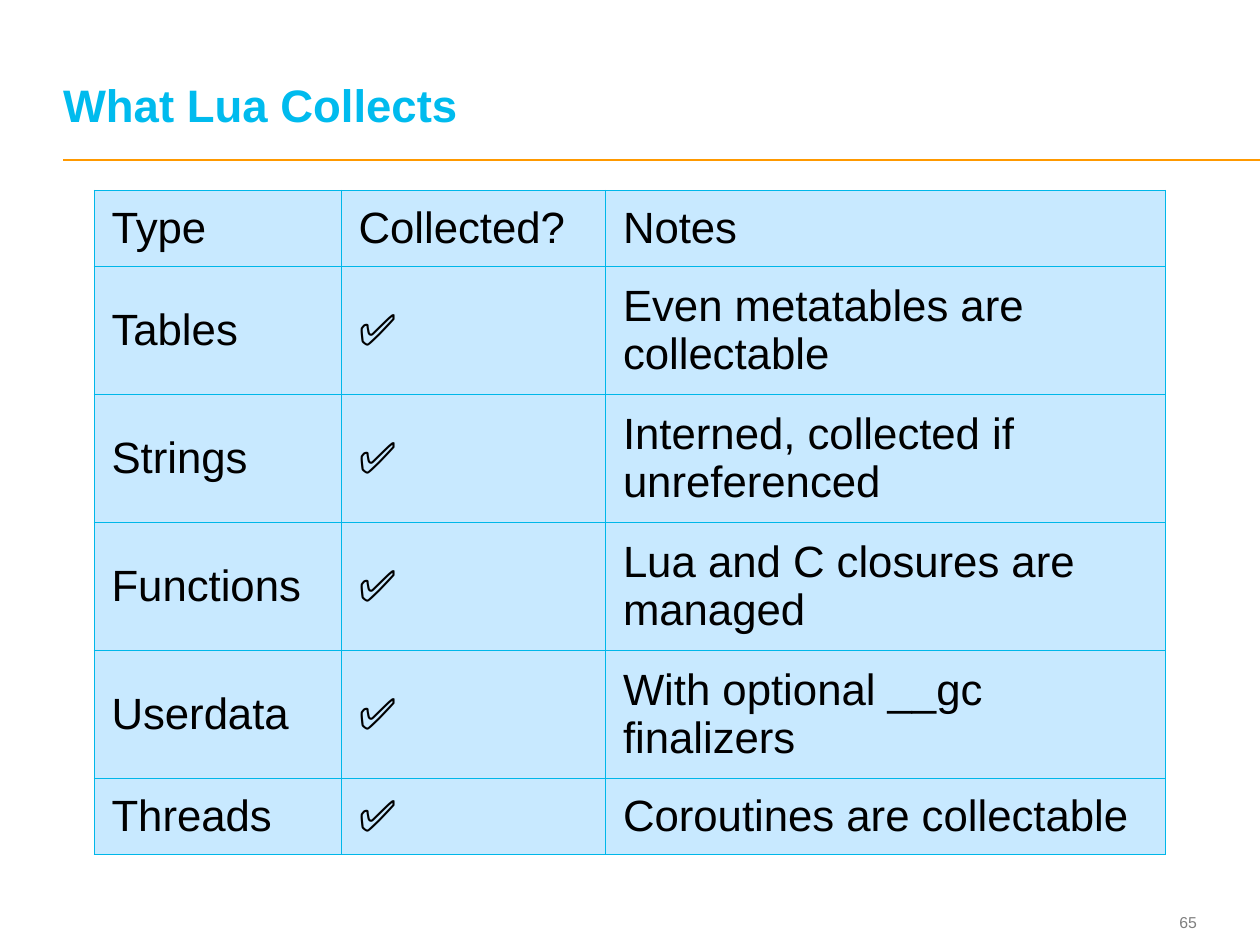
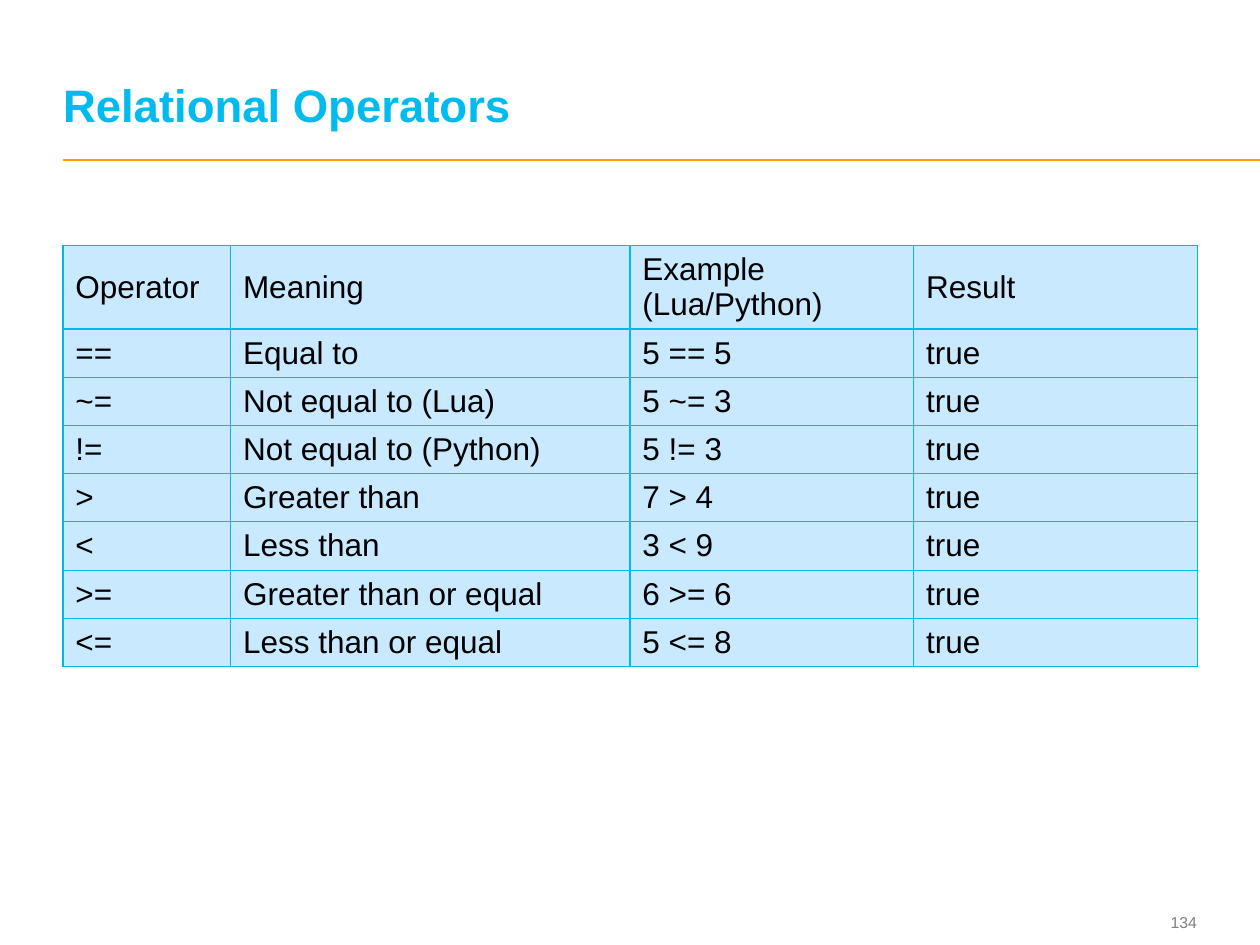
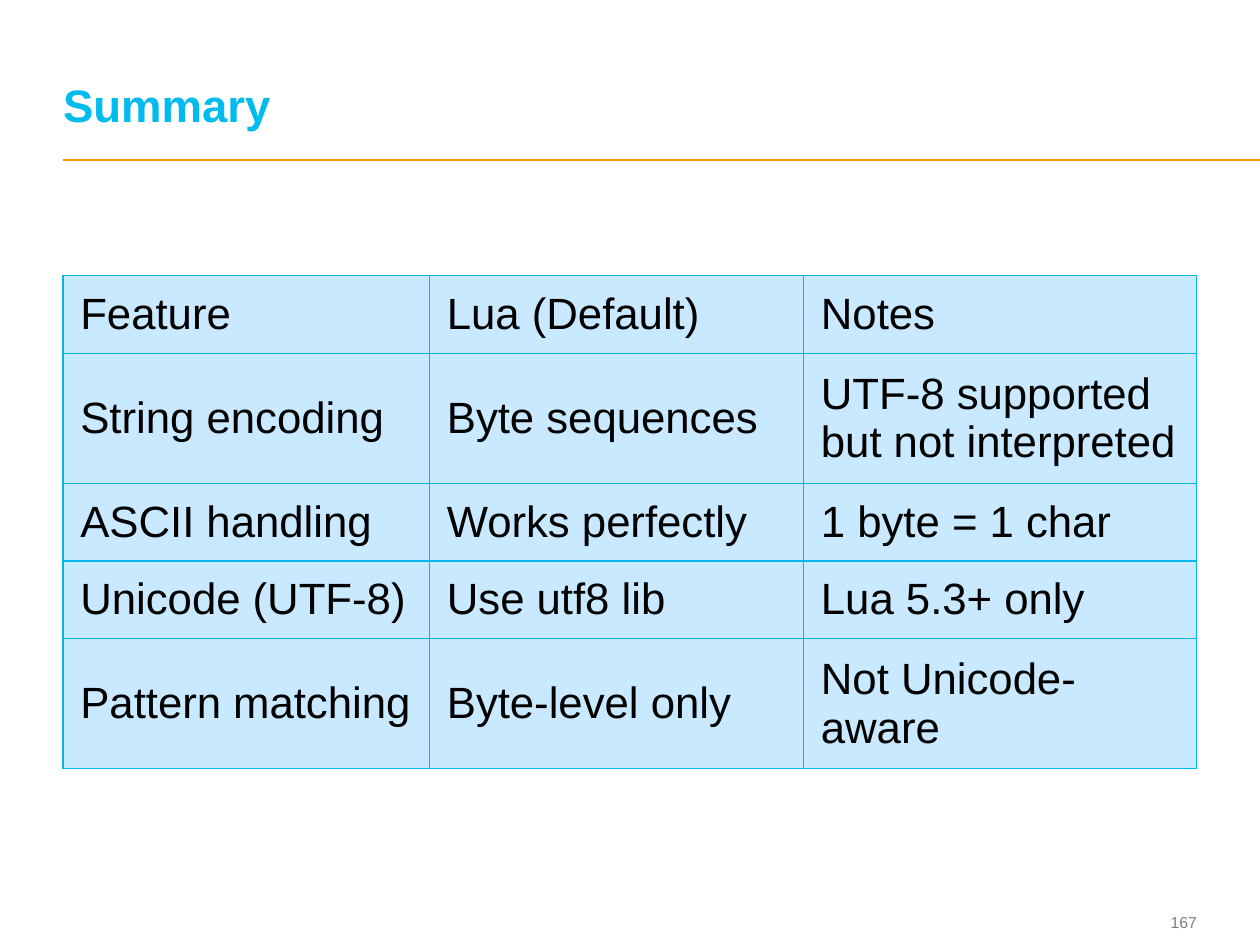
from itertools import product

from lxml import etree
from pptx import Presentation
from pptx.dml.color import RGBColor
from pptx.enum import shapes, text
from pptx.oxml import ns
from pptx.util import Cm, Pt

COLORS = {
    "title": "00BBEE",
    "rule": "FF9900",
    "number": "7F7F7F",
    "body": "000000",
    "cell": "C8E9FF",
    "border": "00B7E9",
}
FONT = "Arial"
MARGIN = 1.27
SLIDE_WIDTH, SLIDE_HEIGHT = 25.4, 19.05


def rgb(name):
    return RGBColor.from_string(COLORS[name])


class Deck:
    """Holds the shared style and the slide being built."""

    def __init__(self):
        self.presentation = Presentation()
        self.presentation.slide_width = Cm(SLIDE_WIDTH)
        self.presentation.slide_height = Cm(SLIDE_HEIGHT)
        self.slide = None

    def add_slide(self, title, number):
        layout = self.presentation.slide_layouts.get_by_name("Title Only")
        self.slide = self.presentation.slides.add_slide(layout)
        self.rule()
        self.number(number)
        self.title(title)

    def style(self, paragraph, size, color, bold=False):
        font = paragraph.font
        font.name, font.size, font.bold = FONT, Pt(size), bold
        font.color.rgb = rgb(color)

    def fill_frame(self, shape, content, anchor):
        frame = shape.text_frame
        frame.margin_left = frame.margin_right = 0
        frame.margin_top = frame.margin_bottom = 0
        frame.word_wrap = True
        frame.auto_size = text.MSO_AUTO_SIZE.NONE
        frame.vertical_anchor = anchor
        frame.text = content
        return frame.paragraphs[0]

    def title(self, content):
        shape = self.slide.shapes.title
        shape.left, shape.top = Cm(MARGIN), Cm(0.48)
        shape.width, shape.height = Cm(22.78), Cm(2.18)
        paragraph = self.fill_frame(shape, content, text.MSO_ANCHOR.BOTTOM)
        paragraph.alignment = text.PP_ALIGN.LEFT
        paragraph.line_spacing = Pt(26)
        self.style(paragraph, 26, "title", bold=True)

    def rule(self):
        line = self.slide.shapes.add_connector(
            shapes.MSO_CONNECTOR.STRAIGHT,
            Cm(MARGIN), Cm(3.23), Cm(SLIDE_WIDTH), Cm(3.23))
        line.line.color.rgb = rgb("rule")
        line.line.width = Pt(1)
        etree.SubElement(line._element.spPr, ns.qn("a:effectLst"))

    def number(self, value):
        box = self.slide.shapes.add_textbox(
            Cm(22.63), Cm(18.24), Cm(1.5), Cm(0.69))
        paragraph = self.fill_frame(box, str(value), text.MSO_ANCHOR.MIDDLE)
        paragraph.alignment = text.PP_ALIGN.RIGHT
        self.style(paragraph, 9, "number")

    def border(self, cell):
        properties = cell._tc.get_or_add_tcPr()
        for position, side in enumerate(("lnL", "lnR", "lnT", "lnB")):
            line = etree.Element(ns.qn(f"a:{side}"), w=str(Pt(0.75)))
            fill = etree.SubElement(line, ns.qn("a:solidFill"))
            etree.SubElement(fill, ns.qn("a:srgbClr"), val=COLORS["border"])
            properties.insert(position, line)

    def table(self, left, top, widths, heights, rows, size=25,
              padding=(0.35, 0.18)):
        table = self.slide.shapes.add_table(
            len(heights), len(widths), Cm(left), Cm(top),
            Cm(sum(widths)), Cm(sum(heights))).table
        table.first_row = table.horz_banding = False
        for column, width in zip(table.columns, widths):
            column.width = Cm(width)
        for row, height in zip(table.rows, heights):
            row.height = Cm(height)

        for r, c in product(range(len(heights)), range(len(widths))):
            cell = table.cell(r, c)
            cell.text = rows[r][c]
            cell.vertical_anchor = text.MSO_ANCHOR.MIDDLE
            cell.margin_left = cell.margin_right = Cm(padding[0])
            cell.margin_top = cell.margin_bottom = Cm(padding[1])
            cell.fill.solid()
            cell.fill.fore_color.rgb = rgb("cell")
            self.border(cell)
            self.style(cell.text_frame.paragraphs[0], size, "body")


def main():
    deck = Deck()

    # Garbage collection by type
    deck.add_slide("What Lua Collects", 65)
    collected = [
        ("Tables", "Even metatables are collectable"),
        ("Strings", "Interned, collected if unreferenced"),
        ("Functions", "Lua and C closures are managed"),
        ("Userdata", "With optional __gc finalizers"),
        ("Threads", "Coroutines are collectable"),
    ]
    deck.table(
        1.9, 3.84, [4.98, 5.33, 11.28], [1.53] + [2.58] * 4 + [1.53],
        [("Type", "Collected?", "Notes")]
        + [(kind, "✅", note) for kind, note in collected])

    # Comparison operators
    deck.add_slide("Relational Operators", 134)
    operators = [
        ("==", "Equal to", "5 == 5"),
        ("~=", "Not equal to (Lua)", "5 ~= 3"),
        ("!=", "Not equal to (Python)", "5 != 3"),
        (">", "Greater than", "7 > 4"),
        ("<", "Less than", "3 < 9"),
        (">=", "Greater than or equal", "6 >= 6"),
        ("<=", "Less than or equal", "5 <= 8"),
    ]
    deck.table(
        MARGIN, 4.95, [3.38, 8.05, 5.72, 5.72], [1.67] + [0.97] * 7,
        [("Operator", "Meaning", "Example (Lua/Python)", "Result")]
        + [(*operator, "true") for operator in operators],
        size=18, padding=(0.25, 0.13))

    # String support
    deck.add_slide("Summary", 167)
    deck.table(
        MARGIN, 5.56, [7.39, 7.54, 7.92], [1.56, 2.63, 1.56, 1.56, 2.63],
        [("Feature", "Lua (Default)", "Notes"),
         ("String encoding", "Byte sequences",
          "UTF-8 supported but not interpreted"),
         ("ASCII handling", "Works perfectly", "1 byte = 1 char"),
         ("Unicode (UTF-8)", "Use utf8 lib", "Lua 5.3+ only"),
         ("Pattern matching", "Byte-level only", "Not Unicode-aware")])

    deck.presentation.save("out.pptx")


if __name__ == "__main__":
    main()
